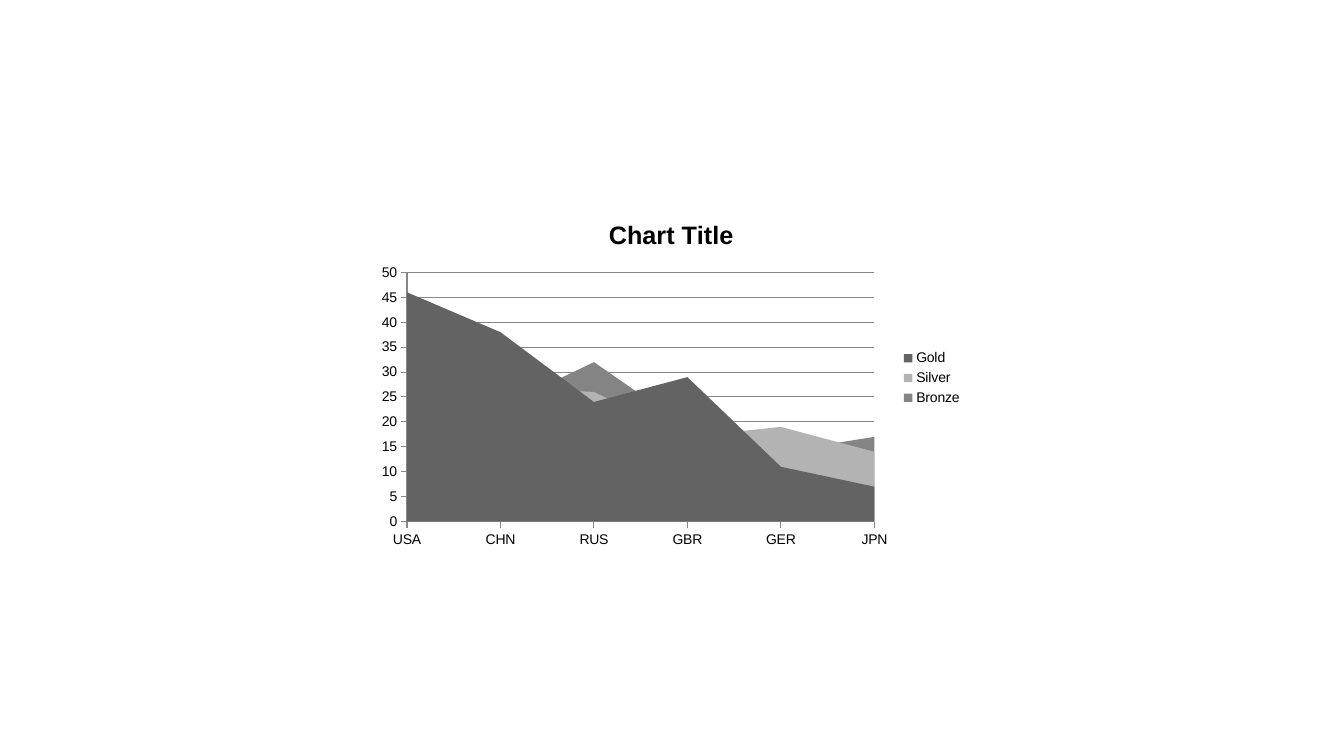
from dataclasses import dataclass

from pptx import Presentation
from pptx.chart.data import CategoryChartData
from pptx.dml.color import RGBColor
from pptx.enum.chart import XL_CHART_TYPE, XL_LEGEND_POSITION, XL_TICK_MARK
from pptx.util import Cm, Pt


@dataclass(frozen=True)
class Theme:
    font: str = "Arial"
    text: str = "000000"
    line: str = "878787"
    fills: tuple = ("636363", "B3B3B3", "848484")
    title_size: int = 18
    label_size: int = 10
    line_width: float = 0.75


class SlideBuilder:
    def __init__(self, slide, theme):
        self.slide = slide
        self.theme = theme

    def style_font(self, font, size, bold=False):
        formats = {"name": self.theme.font, "size": Pt(size), "bold": bold}
        for attribute, value in formats.items():
            setattr(font, attribute, value)
        font.color.rgb = RGBColor.from_string(self.theme.text)

    def style_line(self, line):
        line.color.rgb = RGBColor.from_string(self.theme.line)
        line.width = Pt(self.theme.line_width)

    def style_axis(self, axis, gridlines):
        formats = {
            "has_major_gridlines": gridlines,
            "major_tick_mark": XL_TICK_MARK.OUTSIDE,
            "minor_tick_mark": XL_TICK_MARK.NONE,
        }
        for attribute, value in formats.items():
            setattr(axis, attribute, value)
        self.style_line(axis.format.line)
        if gridlines:
            self.style_line(axis.major_gridlines.format.line)

    def area_chart(self, title, countries, medals, left, top, width, height):
        # Data
        medal_data = CategoryChartData(number_format="General")
        medal_data.categories = countries
        for medal, counts in medals.items():
            medal_data.add_series(medal, counts)
        chart = self.slide.shapes.add_chart(
            XL_CHART_TYPE.AREA, left, top, width, height, medal_data
        ).chart
        self.style_font(chart.font, self.theme.label_size)

        # Title
        chart.has_title = True
        heading = chart.chart_title
        heading.include_in_layout = False
        heading_run = heading.text_frame.paragraphs[0].add_run()
        heading_run.text = title
        self.style_font(heading_run.font, self.theme.title_size, bold=True)

        # Legend
        chart.has_legend = True
        chart.legend.position = XL_LEGEND_POSITION.RIGHT
        chart.legend.include_in_layout = False

        # Axes
        self.style_axis(chart.category_axis, gridlines=False)
        self.style_axis(chart.value_axis, gridlines=True)

        # Areas
        plot = chart.plots[0]
        plot.vary_by_categories = False
        for medal_area, color in zip(plot.series, self.theme.fills):
            medal_area.format.fill.solid()
            medal_area.format.fill.fore_color.rgb = RGBColor.from_string(color)


def main():
    deck = Presentation()
    deck.slide_width = Cm(33.87)
    deck.slide_height = Cm(19.05)
    builder = SlideBuilder(deck.slides.add_slide(deck.slide_layouts[6]), Theme())

    # Medal counts by country
    builder.area_chart(
        "Chart Title",
        ("USA", "CHN", "RUS", "GBR", "GER", "JPN"),
        {
            "Gold": (46, 38, 24, 29, 11, 7),
            "Silver": (29, 27, 26, 17, 19, 14),
            "Bronze": (29, 23, 32, 19, 14, 17),
        },
        Cm(9.32), Cm(5.08), Cm(15.19), Cm(8.89),
    )
    deck.save("out.pptx")


if __name__ == "__main__":
    main()
